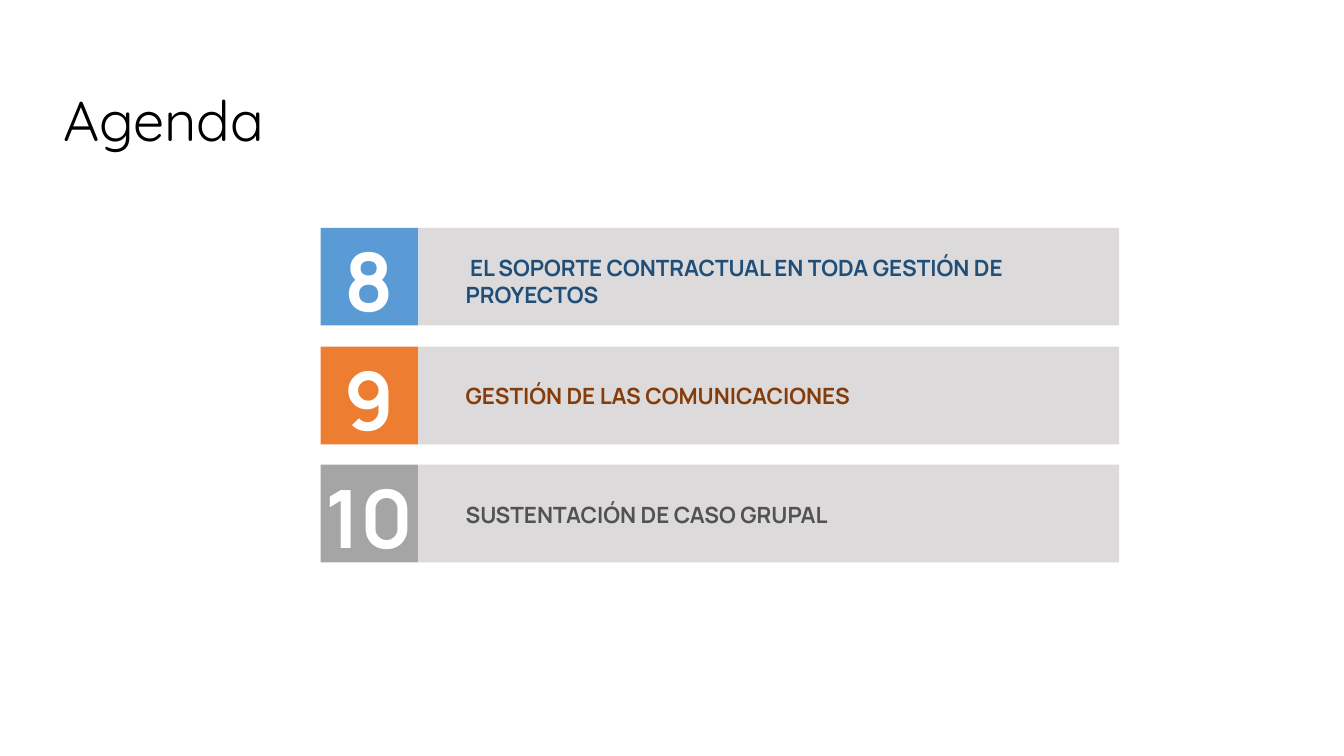
from pptx import Presentation
from pptx import util as u
from pptx.dml.color import RGBColor
from pptx.enum import shapes, text

PX = u.Inches(1) // 100
BLACK = RGBColor(0x00, 0x00, 0x00)
WHITE = RGBColor(0xFF, 0xFF, 0xFF)
BAR_GRAY = RGBColor(0xDC, 0xDA, 0xDA)
BLUE = RGBColor(0x5B, 0x9B, 0xD5)
DARK_BLUE = RGBColor(0x1F, 0x4E, 0x79)
ORANGE = RGBColor(0xED, 0x7D, 0x31)
DARK_ORANGE = RGBColor(0x84, 0x3C, 0x0B)
GRAY = RGBColor(0xA5, 0xA5, 0xA5)
DARK_GRAY = RGBColor(0x52, 0x52, 0x52)

LEFT, TOP, SIDE, BAR_WIDTH = 318, 226, 97, 695
TWO_ROWS = 235  # distance between every second row

# number, topic, square colour, topic colour, topic offset, width, height, wrap
AGENDA = [
    ("8", " EL SOPORTE CONTRACTUAL EN TODA GESTIÓN DE PROYECTOS",
     BLUE, DARK_BLUE, 21, 636, 64, True),
    ("9", "GESTIÓN DE LAS COMUNICACIONES",
     ORANGE, DARK_ORANGE, 30, 414, 37, False),
    ("10", "SUSTENTACIÓN DE CASO GRUPAL",
     GRAY, DARK_GRAY, 31, 391, 37, False),
]


class AgendaSlide:
    heading_font = "Quicksand"
    body_font = "Manrope"

    def __init__(self, deck):
        self.slide = deck.slides.add_slide(deck.slide_layouts.get_by_name("Title Only"))

    def set_text(self, frame, words, font, size, color, bold, align, anchor, wrap):
        frame.text = words
        frame.word_wrap = wrap
        frame.auto_size = text.MSO_AUTO_SIZE.NONE
        frame.vertical_anchor = anchor
        paragraph = frame.paragraphs[0]
        paragraph.alignment = align
        paragraph.font.name = font
        paragraph.font.size = u.Pt(size)
        paragraph.font.bold = bold
        paragraph.font.color.rgb = color

    def title(self, words, left, top, width, height):
        heading = self.slide.shapes.title
        heading.left, heading.top = left * PX, top * PX
        heading.width, heading.height = width * PX, height * PX
        self.set_text(heading.text_frame, words, self.heading_font, 40, BLACK, False,
                      text.PP_ALIGN.LEFT, text.MSO_ANCHOR.TOP, True)

    def block(self, left, top, width, height, color):
        block = self.slide.shapes.add_shape(
            shapes.MSO_SHAPE.RECTANGLE, left * PX, top * PX, width * PX, height * PX)
        block.shadow.inherit = False
        block.fill.solid()
        block.fill.fore_color.rgb = color
        block.line.fill.background()

    def label(self, words, left, top, width, height, size, color,
              align=text.PP_ALIGN.LEFT, wrap=False):
        label = self.slide.shapes.add_textbox(
            left * PX, top * PX, width * PX, height * PX)
        self.set_text(label.text_frame, words, self.body_font, size, color, True,
                      align, text.MSO_ANCHOR.MIDDLE, wrap)


def main():
    deck = Presentation()
    deck.slide_width, deck.slide_height = u.Inches(13.33), u.Inches(7.5)
    agenda = AgendaSlide(deck)
    agenda.title("Agenda", 53, 80, 802, 77)

    for row, (number, topic, fill, ink, offset, width, height, wrap) in enumerate(AGENDA):
        top = TOP + (row * TWO_ROWS + 1) // 2
        agenda.block(LEFT, top, SIDE, SIDE, fill)
        agenda.block(LEFT + SIDE, top, BAR_WIDTH, SIDE, BAR_GRAY)
        number_width = 21 + 46 * len(number)
        agenda.label(number, LEFT + (SIDE - number_width) // 2, top - 2,
                     number_width, 107, 57.5, WHITE, text.PP_ALIGN.CENTER)
        agenda.label(topic, 452, top + offset, width, height, 16, ink, wrap=wrap)

    deck.save("out.pptx")


if __name__ == "__main__":
    main()
